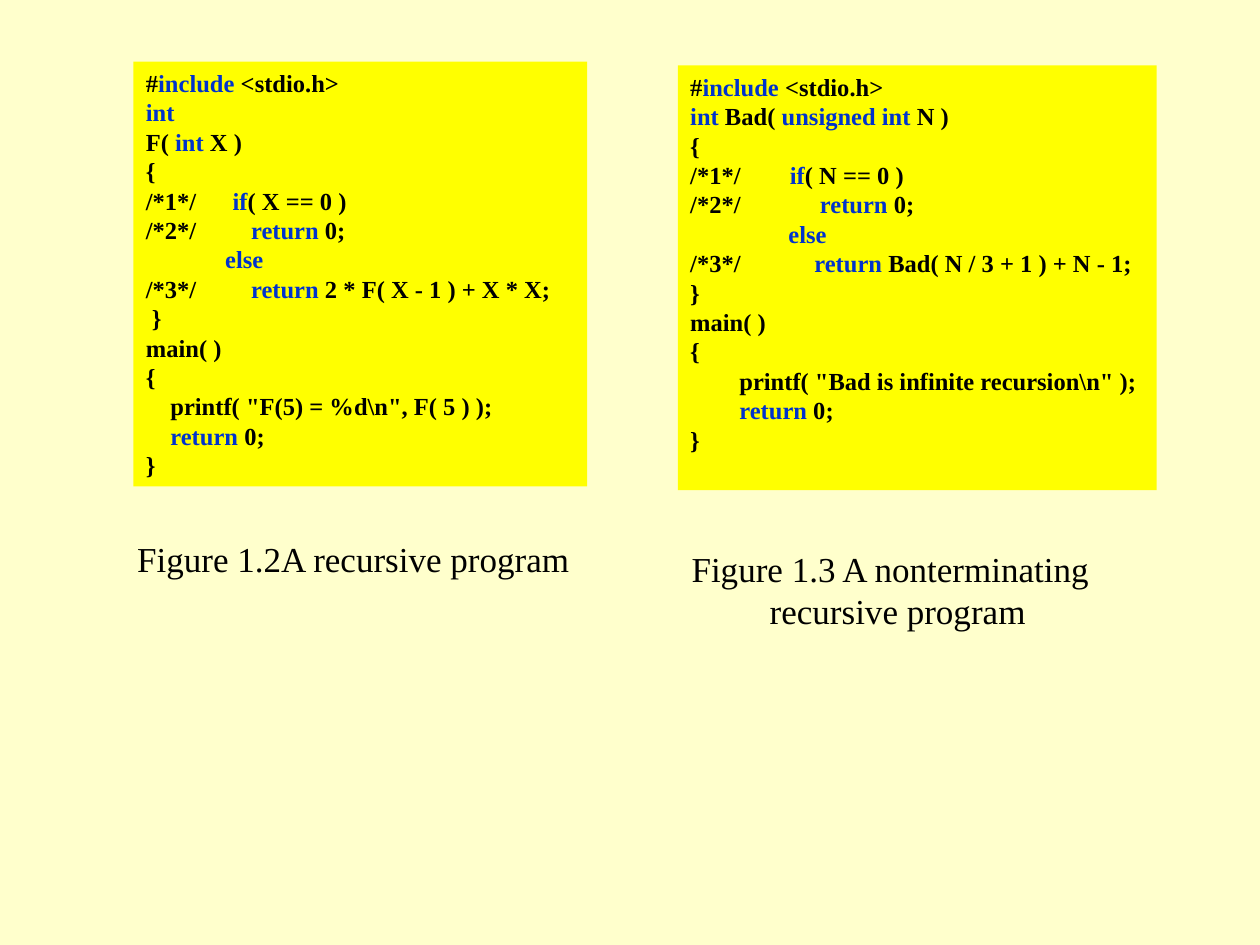
from dataclasses import dataclass

import pptx
import pptx.dml.color
import pptx.enum.shapes
import pptx.enum.text
import pptx.util
from pptx.util import Inches


@dataclass(frozen=True)
class Theme:
    background: str = "FFFFCC"
    panel: str = "FFFF00"
    text: str = "000000"
    keyword: str = "0033CC"
    font: str = "Times New Roman"
    code_size: int = 14
    caption_size: int = 20


THEME = Theme()
KEYWORD_MARK = "`"

RECURSIVE_CODE = r"""#`include` <stdio.h>
`int`
F( `int` X )
{
/*1*/ 　 `if`( X == 0 )
/*2*/　 　`return` 0;
　　　 `else`
/*3*/　　 `return` 2 * F( X - 1 ) + X * X;
 }
main( )
{
　printf( "F(5) = %d\n", F( 5 ) );
　`return` 0;
}"""

NONTERMINATING_CODE = r"""#`include` <stdio.h>
`int` Bad( `unsigned int` N )
{
/*1*/　　`if`( N == 0 )
/*2*/　　　 `return` 0;
　　　　`else`
/*3*/　　　`return` Bad( N / 3 + 1 ) + N - 1;
}
main( )
{
　　printf( "Bad is infinite recursion\n" );
　　`return` 0;
}"""


def rgb(value):
    return pptx.dml.color.RGBColor.from_string(value)


def add_text(paragraph, text, *, size, color=THEME.text, bold=False):
    run = paragraph.add_run()
    run.text = text
    run.font.name = THEME.font
    run.font.size = pptx.util.Pt(size)
    run.font.bold = bold
    run.font.color.rgb = rgb(color)


def prepare_frame(shape, wrap):
    frame = shape.text_frame
    frame.word_wrap = wrap
    frame.vertical_anchor = pptx.enum.text.MSO_ANCHOR.TOP
    return frame


def add_code_panel(slide, box, code, wrap):
    shape = slide.shapes.add_shape(pptx.enum.shapes.MSO_SHAPE.RECTANGLE, *map(Inches, box))
    shape.shadow.inherit = False
    shape.fill.solid()
    shape.fill.fore_color.rgb = rgb(THEME.panel)
    shape.line.fill.background()
    paragraph = prepare_frame(shape, wrap).paragraphs[0]
    paragraph.alignment = pptx.enum.text.PP_ALIGN.LEFT
    for number, line in enumerate(code.splitlines()):
        if number:
            paragraph.add_line_break()
        for index, part in enumerate(line.split(KEYWORD_MARK)):
            if part:
                color = THEME.keyword if index % 2 else THEME.text
                add_text(paragraph, part, size=THEME.code_size, color=color, bold=True)


def add_caption(slide, box, lines, indent=0):
    shape = slide.shapes.add_textbox(*map(Inches, box))
    frame = prepare_frame(shape, wrap=False)
    for number, line in enumerate(lines):
        paragraph = frame.add_paragraph() if number else frame.paragraphs[0]
        if number:
            paragraph._p.get_or_add_pPr().set("marL", str(Inches(indent)))
        add_text(paragraph, line, size=THEME.caption_size)


def main():
    presentation = pptx.Presentation()
    presentation.slide_width = Inches(10)
    presentation.slide_height = Inches(7.5)
    slide = presentation.slides.add_slide(presentation.slide_layouts[6])
    slide.background.fill.solid()
    slide.background.fill.fore_color.rgb = rgb(THEME.background)

    add_code_panel(slide, (1.06, 0.49, 3.6, 3.37), RECURSIVE_CODE, wrap=True)
    add_code_panel(slide, (5.38, 0.52, 3.8, 3.37), NONTERMINATING_CODE, wrap=False)
    add_caption(slide, (0.99, 4.22, 3.64, 0.44), ["Figure 1.2A recursive program"])
    add_caption(
        slide,
        (5.39, 4.3, 3.38, 0.77),
        ["Figure 1.3 A nonterminating", "recursive program"],
        indent=0.62,
    )
    presentation.save("out.pptx")


if __name__ == "__main__":
    main()
